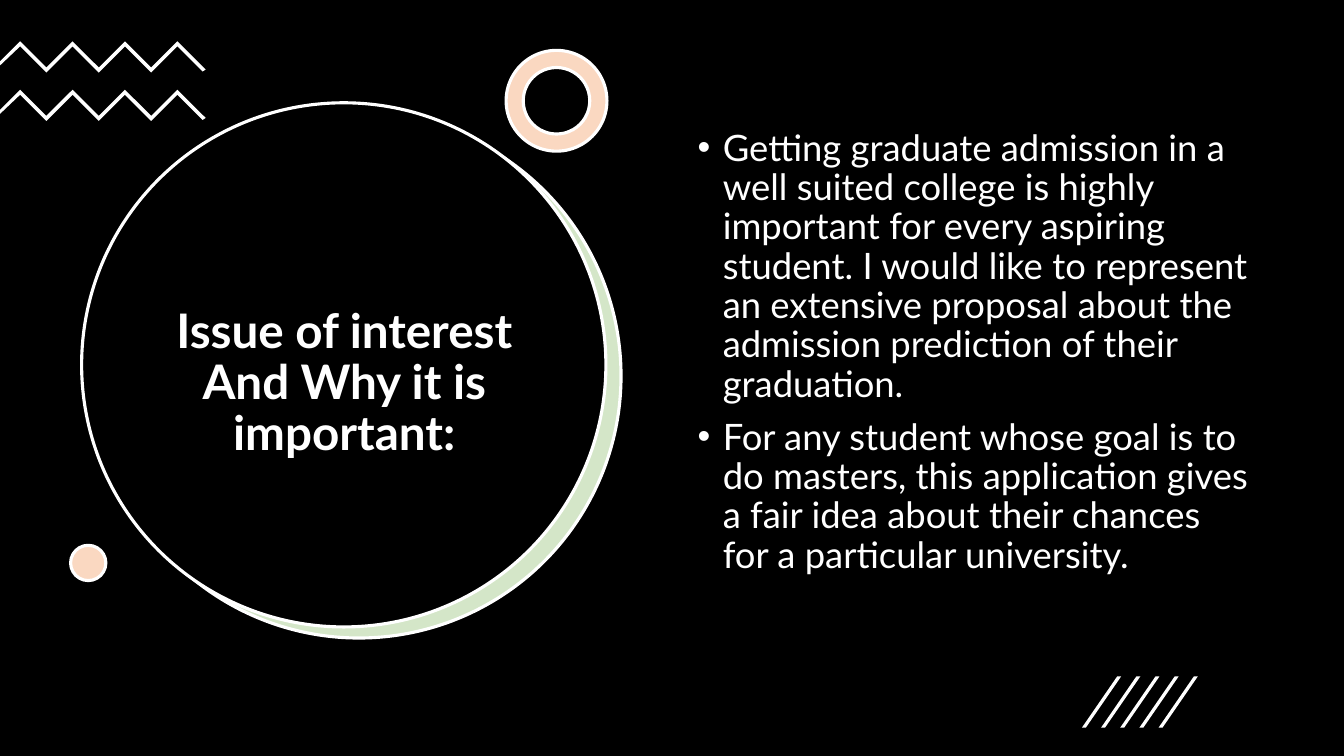
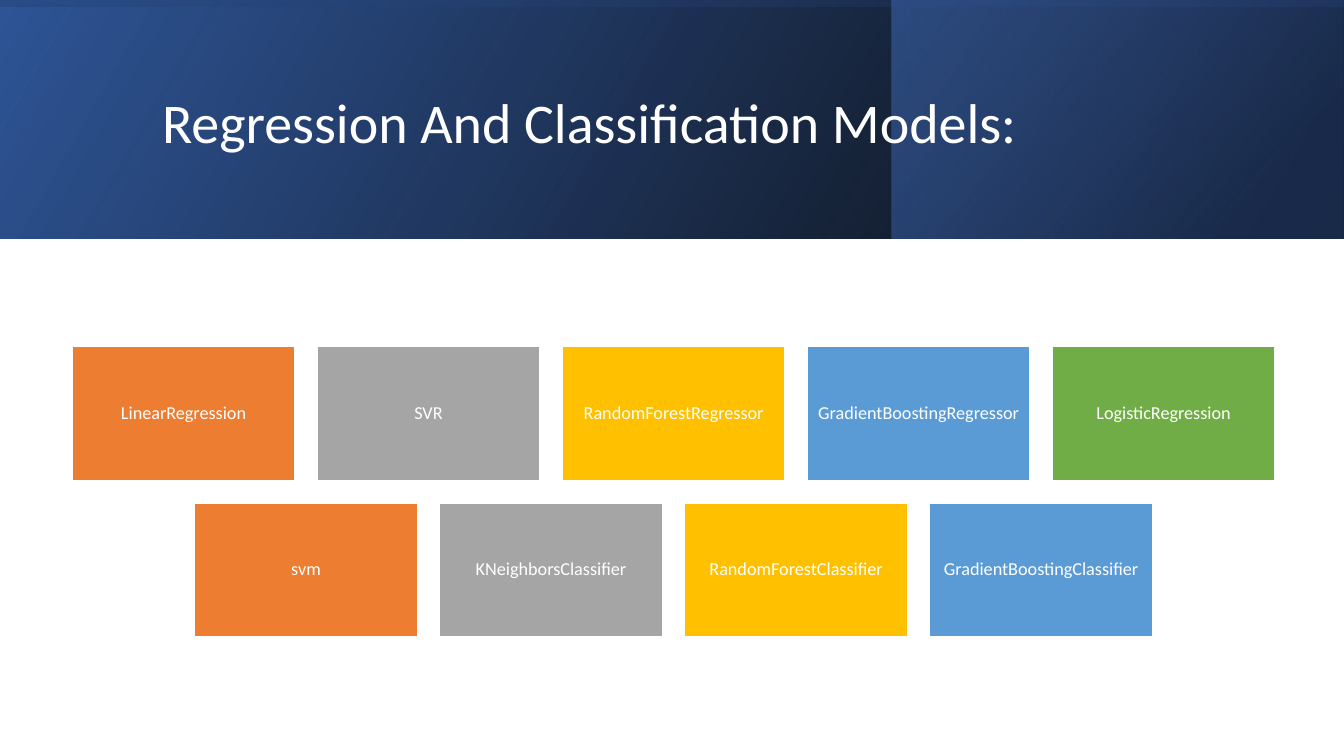
from pptx import Presentation
from pptx.dml.color import RGBColor as RGB
from pptx.enum.shapes import MSO_SHAPE as SHAPE
from pptx.enum.text import MSO_ANCHOR as ANCHOR, PP_ALIGN as ALIGN
from pptx.oxml.ns import qn
from pptx.util import Inches, Pt
from lxml.etree import SubElement

HUES = {
    "white": "FFFFFF", "black": "000000", "peach": "FAD8C1", "mint": "D4E6C8",
    "orange": "ED7D31", "gray": "A5A5A5", "gold": "FFC000", "sky": "5B9BD5",
    "green": "70AD47", "blue": "2F5597", "navy": "203864", "royal": "4472C4",
}


def draw(slide, kind, box, hue, line=0):
    """Add a preset shape; line is the width of its white outline in points."""
    shape = slide.shapes.add_shape(kind, *[Inches(n) for n in box])
    shape.shadow.inherit = False
    shape.fill.solid()
    shape.fill.fore_color.rgb = RGB.from_string(HUES[hue])
    if line:
        shape.line.color.rgb = RGB.from_string(HUES["white"])
        shape.line.width = Pt(line)
    else:
        shape.line.fill.background()
    return shape


def write(shape, texts, face, size, align=ALIGN.LEFT, bold=False, anchor=ANCHOR.MIDDLE):
    """Fill a shape with white paragraphs and return them."""
    frame = shape.text_frame
    frame.word_wrap = True
    frame.vertical_anchor = anchor
    for i, text in enumerate(texts):
        para = frame.add_paragraph() if i else frame.paragraphs[0]
        para.alignment = align
        para.line_spacing = 0.9
        run = para.add_run()
        run.text = text
        run.font.name = face
        run.font.size = Pt(size)
        run.font.bold = bold
        run.font.color.rgb = RGB.from_string(HUES["white"])
    return frame.paragraphs


deck = Presentation()
deck.slide_width, deck.slide_height = Inches(13.33), Inches(7.5)
blank = deck.slide_layouts[6]

# Issue of interest
slide = deck.slides.add_slide(blank)
back = slide.background.fill
back.solid()
back.fore_color.rgb = RGB.from_string(HUES["black"])

draw(slide, SHAPE.OVAL, (0.96, 1.13, 5.2, 5.2), "mint", 2.25)
draw(slide, SHAPE.OVAL, (0.81, 1.02, 5.2, 5.2), "black", 2.25)
title = slide.shapes.add_textbox(Inches(1.21), Inches(2.05), Inches(4.41), Inches(3.52))
write(title, ["Issue of interest And Why it is important:"], "Lato", 34, ALIGN.CENTER, True)

teeth = [(0.2 + 0.26 * i, 0.26 * (i % 2)) for i in range(7)]
upper = [(0, 0.2), *teeth, (2.04, 0.28)]
lower = [(2.01, 0.3), *[(x, y + 0.05) for x, y in reversed(teeth)], (0, 0.24)]
for top in (0.41, 0.89):
    dots = [(Inches(x), Inches(top + y)) for x, y in upper + lower]
    pen = slide.shapes.build_freeform(*dots[0])
    pen.add_line_segments(dots[1:], close=True)
    wave = pen.convert_to_shape()
    wave.shadow.inherit = False
    wave.fill.solid()
    wave.fill.fore_color.rgb = RGB.from_string(HUES["white"])
    wave.line.fill.background()

ring = draw(slide, SHAPE.DONUT, (5.02, 0.5, 1, 1), "peach", 2.25)
ring.adjustments[0] = 0.17
draw(slide, SHAPE.OVAL, (0.7, 5.41, 0.35, 0.35), "peach", 2.25)

body = slide.shapes.add_textbox(Inches(6.82), Inches(1.24), Inches(5.71), Inches(4.76))
points = [
    "Getting graduate admission in a well suited college is highly important for every "
    "aspiring student. I would like to represent an extensive proposal about the "
    "admission prediction of their graduation.",
    "For any student whose goal is to do masters, this application gives a fair idea "
    "about their chances for a particular university.",
]
for para in write(body, points, "Lato", 26, anchor=ANCHOR.TOP):
    para.space_before = Pt(10)
    props = para._p.get_or_add_pPr()
    props.set("marL", str(Inches(0.25)))
    props.set("indent", str(-Inches(0.25)))
    SubElement(props, qn("a:buFont")).set("typeface", "Arial")
    SubElement(props, qn("a:buChar")).set("char", "•")

for i in range(5):
    slash = draw(slide, SHAPE.PARALLELOGRAM, (10.73 + 0.19 * i, 6.71, 0.39, 0.51), "white")
    slash.adjustments[0] = 0.9

# Regression and classification models
slide = deck.slides.add_slide(blank)
# box, turn, gradient angle (counterclockwise), stops of (place, hue, opacity)
bands = [
    ((0, 0, 13.33, 2.37), 0, 30, [(0, "black", 96), (1, "blue", 100)]),
    ((8.84, 0, 4.48, 2.37), 0, 40, [(0.19, "navy", 68), (1, "royal", 48)]),
    ((5.48, -5.48, 2.37, 13.33), 270, 10, [(0.23, "blue", 16), (0.99, "black", 45)]),
]
for box, turn, angle, stops in bands:
    band = draw(slide, SHAPE.RECTANGLE, box, "blue")
    band.rotation = turn
    props = band._element.spPr
    props.find(qn("a:xfrm")).set("flipH", "1")
    band.fill.gradient()
    band.fill.gradient_angle = angle
    for stop, (place, hue, _) in zip(band.fill.gradient_stops, stops):
        stop.position = place
        stop.color.rgb = RGB.from_string(HUES[hue])
    for tone, (_, _, alpha) in zip(props.iter(qn("a:srgbClr")), stops):
        SubElement(tone, qn("a:alpha")).set("val", str(alpha * 1000))

title = slide.shapes.add_textbox(Inches(1.51), Inches(0.38), Inches(10.63), Inches(1.72))
write(title, ["Regression And Classification Models:"], "Calibri", 40)

rows = [
    ["LinearRegression", "SVR", "RandomForestRegressor", "GradientBoostingRegressor",
     "LogisticRegression"],
    ["svm", "KNeighborsClassifier", "RandomForestClassifier", "GradientBoostingClassifier"],
]
wide, high, gap = 2.21, 1.33, 0.22
for r, names in enumerate(rows):
    left = 6.68 - (len(names) * (wide + gap) - gap) / 2
    for c, (name, hue) in enumerate(zip(names, ("orange", "gray", "gold", "sky", "green"))):
        box = (left + c * (wide + gap), 3.44 + r * (high + gap), wide, high)
        card = draw(slide, SHAPE.RECTANGLE, box, hue, 1)
        frame = card.text_frame
        frame.margin_left = frame.margin_right = Inches(0.05)
        write(card, [name], "Calibri", 13, ALIGN.CENTER)

deck.save("out.pptx")
